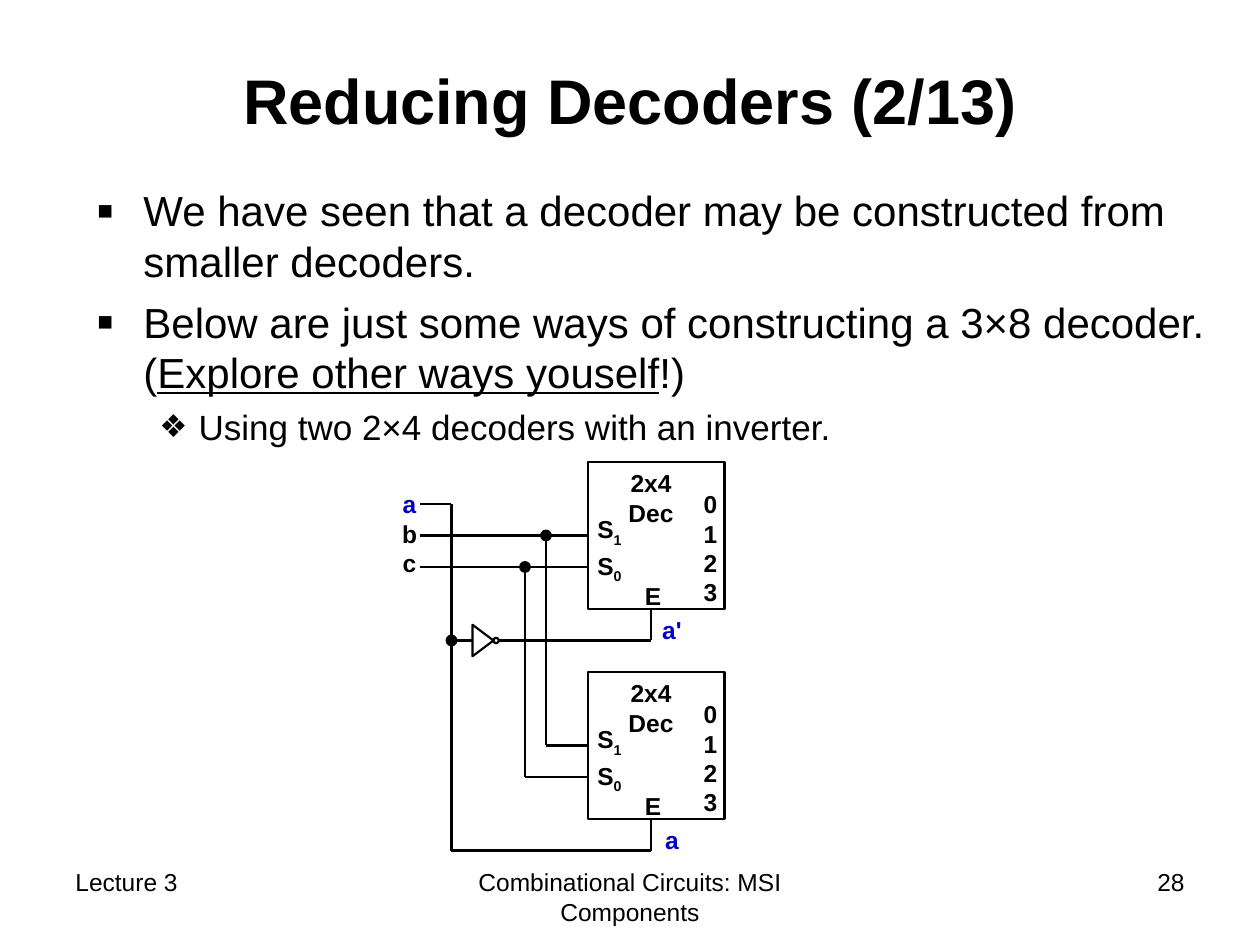
import itertools

import lxml.etree
import pptx
import pptx.dml.color
import pptx.enum.shapes
import pptx.enum.text
import pptx.oxml.ns
import pptx.util

COLORS = {"ink": "000000", "signal": "0000CC"}
UNIT = 2.54 / 12  # the layout grid, in centimetres: 120 x 90 units
ALIGN = pptx.enum.text.PP_ALIGN
ANCHOR = pptx.enum.text.MSO_ANCHOR
SHAPE = pptx.enum.shapes.MSO_SHAPE


def grid(*units):
    return [pptx.util.Cm(unit * UNIT) for unit in units]


def color(name):
    return pptx.dml.color.RGBColor.from_string(COLORS[name])


class SlideWriter:
    font = "Arial"
    label_size = 14
    wire_width = 1.25

    def __init__(self, slide):
        self.slide = slide
        self.shapes = slide.shapes

    def start_group(self):
        self.shapes = self.slide.shapes.add_group_shape().shapes

    def frame(self, box, anchor=ANCHOR.TOP, grow=False):
        text_frame = self.shapes.add_textbox(*grid(*box)).text_frame
        text_frame.word_wrap = True
        text_frame.vertical_anchor = anchor
        if grow:
            text_frame.auto_size = pptx.enum.text.MSO_AUTO_SIZE.SHAPE_TO_FIT_TEXT
        return text_frame

    def paragraph(self, frame, first, size, align=ALIGN.LEFT, bold=False,
                  ink="ink", before=0, bullet=None):
        paragraph = frame.paragraphs[0] if first else frame.add_paragraph()
        paragraph.alignment = align
        if before and not first:
            paragraph.space_before = pptx.util.Pt(before)
        if bullet:
            self.bullet(paragraph, *bullet)
        paragraph.font.name = self.font
        paragraph.font.size = pptx.util.Pt(size)
        paragraph.font.bold = bold
        paragraph.font.color.rgb = color(ink)
        return paragraph

    def bullet(self, paragraph, char, percent, margin, hang):
        props = paragraph._p.get_or_add_pPr()
        props.set("marL", str(pptx.util.Cm(margin)))
        props.set("indent", str(-pptx.util.Cm(hang)))
        qn = pptx.oxml.ns.qn
        bullet_color = lxml.etree.SubElement(props, qn("a:buClr"))
        lxml.etree.SubElement(bullet_color, qn("a:srgbClr"), val=COLORS["ink"])
        lxml.etree.SubElement(props, qn("a:buSzPct"), val=str(percent * 1000))
        lxml.etree.SubElement(props, qn("a:buFont"), typeface=self.font)
        lxml.etree.SubElement(props, qn("a:buChar"), char=char)

    def text(self, box, content, size=label_size, align=ALIGN.CENTER, bold=False,
             anchor=ANCHOR.TOP):
        paragraph = self.paragraph(self.frame(box, anchor), True, size, align, bold)
        paragraph.add_run().text = content

    def labels(self, box, lines, align=ALIGN.CENTER, before=0):
        """Stack bold labels; each line is (text, ink, subscript)."""
        frame = self.frame(box, grow=True)
        for index, (content, ink, subscript) in enumerate(lines):
            paragraph = self.paragraph(frame, index == 0, self.label_size, align,
                                       True, ink, before)
            paragraph.add_run().text = content
            if subscript:
                lowered = paragraph.add_run()
                lowered.text = subscript
                lowered._r.get_or_add_rPr().set("baseline", "-25000")

    def outline(self, kind, box, width=wire_width, rotation=0, filled=False):
        shape = self.shapes.add_shape(kind, *grid(*box))
        shape.shadow.inherit = False
        shape.rotation = rotation
        if filled:
            shape.fill.solid()
            shape.fill.fore_color.rgb = color("ink")
        else:
            shape.fill.background()
        shape.line.color.rgb = color("ink")
        shape.line.width = pptx.util.Pt(width)

    def dot(self, x, y):
        self.outline(SHAPE.OVAL, (x - 0.5, y - 0.5, 1, 1), 0.75, filled=True)

    def wire(self, *points):
        for start, end in itertools.pairwise(points):
            line = self.shapes.add_connector(
                pptx.enum.shapes.MSO_CONNECTOR.STRAIGHT, *grid(*start, *end))
            line.line.color.rgb = color("ink")
            line.line.width = pptx.util.Pt(self.wire_width)
            lxml.etree.SubElement(line._element.spPr,
                                  pptx.oxml.ns.qn("a:effectLst"))

    def decoder(self, top):
        self.outline(SHAPE.RECTANGLE, (56, top, 13, 14), 1.5)
        self.labels((57, top, 10, 6.8), plain("2x4", "Dec"))
        self.labels((55.7, top + 4.4, 5.6, 7.9),
                    [("S", "ink", "1"), ("S", "ink", "0")], ALIGN.LEFT, 1.8)
        self.labels((64.5, top + 2, 5, 12.5), plain(*"0123"), ALIGN.RIGHT)
        self.labels((60.2, top + 10.7, 4, 4), plain("E"))


def plain(*words):
    return [(word, "ink", "") for word in words]


def main():
    deck = pptx.Presentation()
    deck.slide_width, deck.slide_height = grid(120, 90)
    writer = SlideWriter(deck.slides.add_slide(deck.slide_layouts[6]))

    # Footer
    writer.text((6, 82, 28, 6.2), "Lecture 3", align=ALIGN.LEFT)
    writer.text((41, 82, 38, 6.2), "Combinational Circuits: MSI Components")
    writer.text((86, 82, 28, 6.2), "28", align=ALIGN.RIGHT)

    # Title
    writer.text((9, 2, 102, 15), "Reducing Decoders (2/13)", 36, bold=True,
                anchor=ANCHOR.MIDDLE)

    # Bulleted points; each run is (text, underlined)
    square = ("▪", 120, 0.95, 0.95)
    diamond = ("❖", 90, 2.06, 0.79)
    points = [
        (0, 24, 6, square, [("We have seen that a decoder may be constructed "
                             "from smaller decoders.", False)]),
        (0, 24, 6, square, [("Below are just some ways of constructing a "
                             "3×8 decoder. (", False),
                            ("Explore other ways youself", True), ("!)", False)]),
        (1, 20, 5, diamond, [("Using two 2×4 decoders with an inverter.", False)]),
    ]
    body = writer.frame((8, 17, 109, 27))
    for index, (level, size, before, bullet, runs) in enumerate(points):
        point = writer.paragraph(body, index == 0, size, before=before, bullet=bullet)
        point.level = level
        for content, underlined in runs:
            run = point.add_run()
            run.text = content
            if underlined:
                run.font.underline = True

    # Two decoders
    writer.start_group()
    upper, lower = 44, 64
    for top in (upper, lower):
        writer.decoder(top)

    # Select lines b and c, each tapped down to the lower decoder
    for tap, offset in ((52, 7), (50, 10)):
        writer.wire((40, upper + offset), (56, upper + offset))
        writer.wire((tap, upper + offset), (tap, lower + offset),
                    (56, lower + offset))
        writer.dot(tap, upper + offset)

    # Line a: straight to the lower enable, inverted to the upper one
    bus, enable, branch = 43, 62, 61
    writer.wire((40, 48), (bus, 48), (bus, 81), (enable, 81), (enable, lower + 14))
    writer.wire((bus, branch), (45, branch))
    writer.wire((47.5, branch), (enable, branch), (enable, upper + 14))
    writer.outline(SHAPE.FLOWCHART_MERGE, (44.5, 60, 3, 2), rotation=270)
    writer.outline(SHAPE.OVAL, (47, 60.75, 0.5, 0.5))
    writer.dot(bus, branch)

    # Signal names
    writer.labels((37, 46, 4, 9.6), [("a", "signal", ""), *plain("b", "c")])
    for top, name in ((upper, "a'"), (lower, "a")):
        writer.labels((61, top + 14, 6, 4), [(name, "signal", "")])

    deck.save("out.pptx")


if __name__ == "__main__":
    main()
